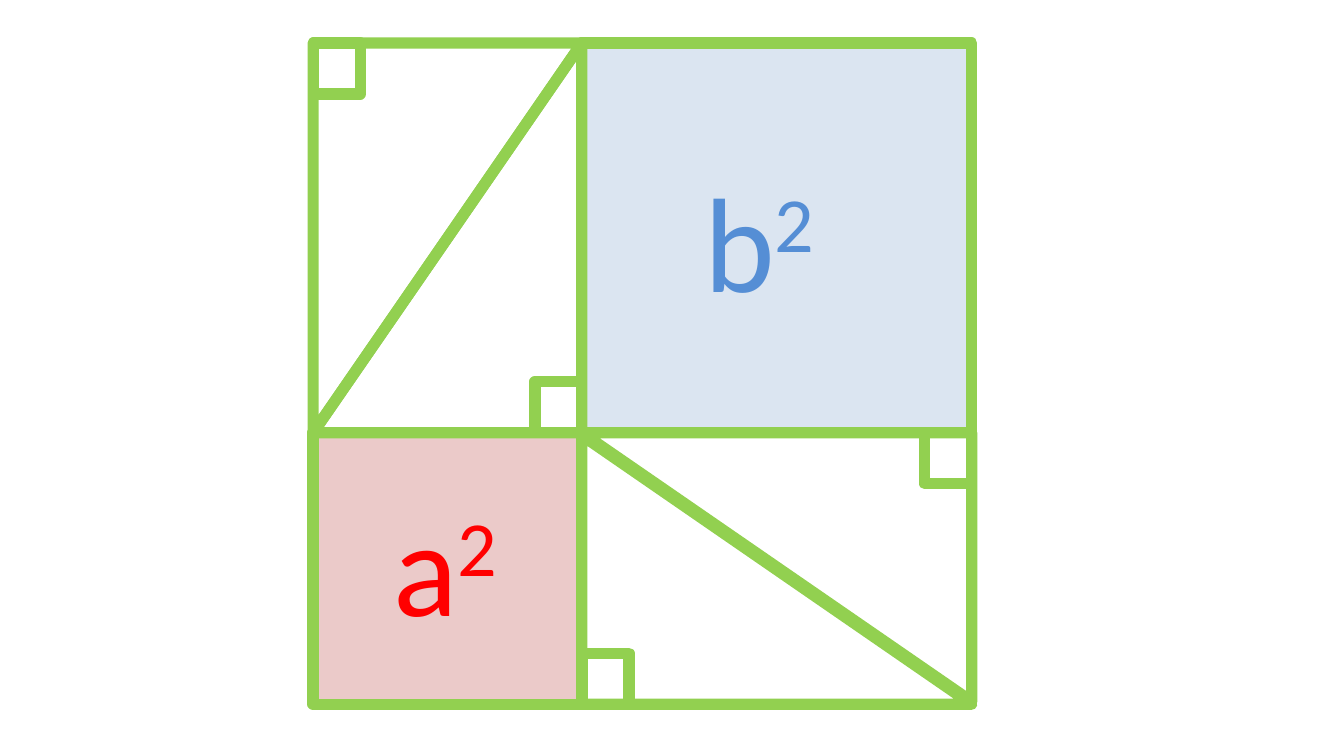
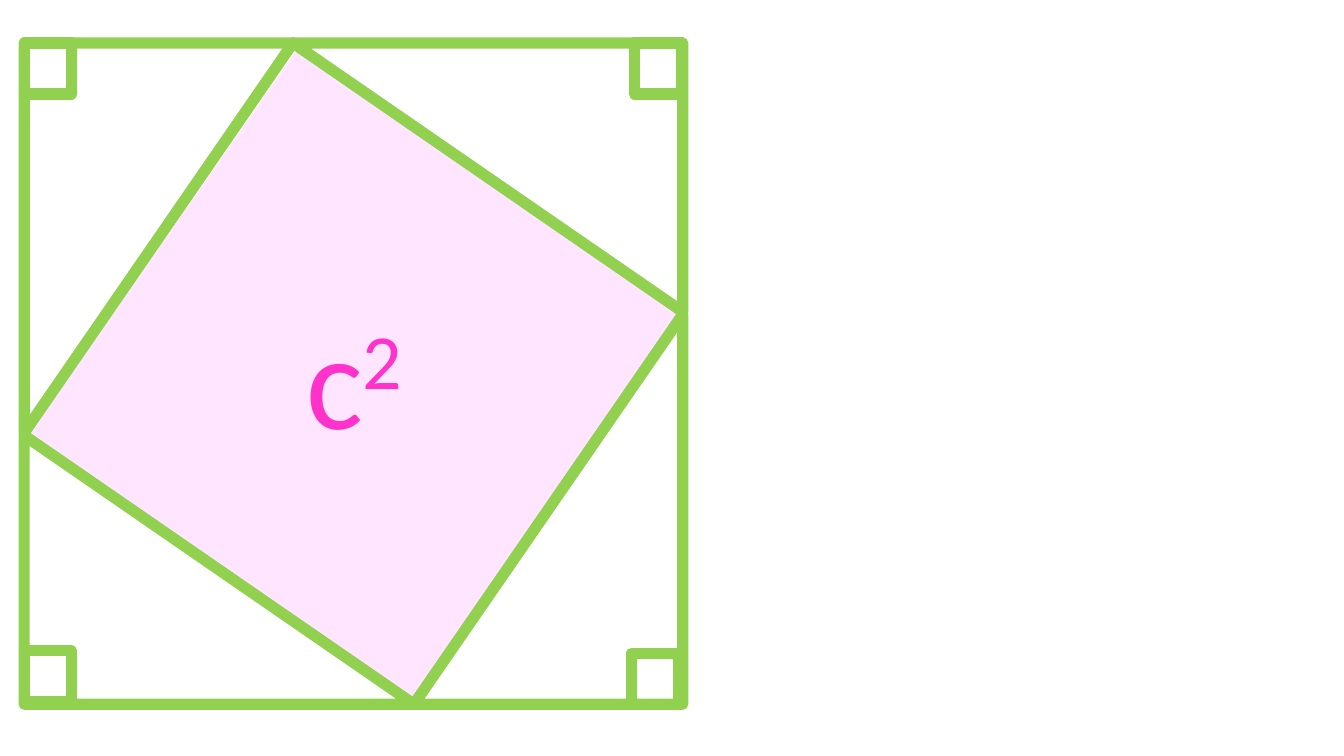
from lxml import etree
from pptx import Presentation
from pptx.dml.color import RGBColor
from pptx.enum.shapes import MSO_SHAPE
from pptx.enum.text import MSO_AUTO_SIZE
from pptx.oxml.ns import qn
from pptx.util import Inches, Pt

RECT, TRI = MSO_SHAPE.RECTANGLE, MSO_SHAPE.RIGHT_TRIANGLE
GROW = MSO_AUTO_SIZE.SHAPE_TO_FIT_TEXT
GREEN = RGBColor(0x92, 0xD0, 0x50)
SKY = RGBColor(0xB9, 0xCD, 0xE5)
ROSE = RGBColor(0xD9, 0x96, 0x94)
PINK = RGBColor(0xFF, 0xCC, 0xFF)
RED = RGBColor(0xFF, 0x00, 0x00)
BLUE = RGBColor(0x55, 0x8E, 0xD5)
MAGENTA = RGBColor(0xFF, 0x33, 0xCC)

# Legs of the triangle and the square they span together
A, B = 2, 2.9
SIDE = A + B
TOP = 0.32
MID, LOW = TOP + B, TOP + B + 0.02
END = LOW + A
MARK_W, MARK_H = 0.35, 0.38


def paint(shape, fill=None):
    """Give a half-clear fill without line, or a green outline without fill."""
    shape.shadow.inherit = False
    if fill is None:
        shape.fill.background()
        shape.line.color.rgb = GREEN
        shape.line.width = Pt(6)
        return
    shape.fill.solid()
    shape.fill.fore_color.rgb = fill
    color = shape.fill._xPr.find(".//" + qn("a:srgbClr"))
    etree.SubElement(color, qn("a:alpha"), val="50000")
    shape.line.fill.background()


def place(slide, kind, x, y, w, h, fill=None, turn=0):
    """Add a shape that covers x, y, w, h after it is turned."""
    if turn in (90, 270):
        x, y, w, h = x + (w - h) / 2, y + (h - w) / 2, h, w
    shape = slide.shapes.add_shape(kind, *map(Inches, (x, y, w, h)))
    shape.rotation = turn
    paint(shape, fill)


deck = Presentation()
deck.slide_width = Inches(10)
deck.slide_height = deck.slide_width * 9 // 16
blank = deck.slide_layouts[6]
parts, whole = deck.slides.add_slide(blank), deck.slides.add_slide(blank)

# Tinted squares
left, edge = 2.33, 0.18
mid = left + A
place(parts, RECT, mid, TOP, B, B + 0.03, SKY)
place(parts, RECT, left, MID, A, A + 0.02, ROSE)
tilt = [(0.2, 3.25), (2.21, 0.37), (5.08, 2.36), (3.06, 5.21)]
start, *rest = [(Inches(x), Inches(y)) for x, y in tilt]
path = whole.shapes.build_freeform(*start)
path.add_line_segments(rest, close=True)
paint(path.convert_to_shape(), PINK)

# Four equal triangles on each slide
for slide, x, y, turn in [
    (parts, left, TOP, 90),
    (parts, mid, MID, 180),
    (parts, left, TOP, 270),
    (parts, mid, LOW, 0),
    (whole, edge, TOP, 90),
    (whole, edge + B, END - B, 270),
    (whole, edge + A, TOP, 180),
    (whole, edge, LOW, 0),
]:
    w, h = (A, B) if turn in (90, 270) else (B, A)
    place(slide, TRI, x, y, w, h, turn=turn)

# Right-angle marks
far = edge + SIDE - MARK_W
for slide, x, y in [
    (parts, left, TOP),
    (parts, mid, END - MARK_H),
    (parts, mid + B - MARK_W, MID),
    (parts, mid - MARK_W, MID - MARK_H),
    (whole, edge, TOP),
    (whole, edge, END - MARK_H - 0.02),
    (whole, far - 0.03, END - MARK_H),
    (whole, far - 0.01, TOP),
]:
    place(slide, RECT, x, y, MARK_W, MARK_H)

# Outlines of the two small squares
place(parts, RECT, left, MID, A, A + 0.02)
place(parts, RECT, mid, TOP, B, B)

# Area labels
for slide, name, x, y, w, color in [
    (parts, "a", 2.83, 3.54, 1.33, RED),
    (parts, "b", 5.14, 1.13, 1.13, BLUE),
    (whole, "c", 2.18, 2.15, 0.96, MAGENTA),
]:
    box = slide.shapes.add_textbox(*map(Inches, (x, y, w, 1.31)))
    frame = box.text_frame
    frame.word_wrap = True
    frame.auto_size = GROW
    for text in (name, "2"):
        run = frame.paragraphs[0].add_run()
        run.text = text
        for key, value in {"name": "Calibri", "size": Pt(72)}.items():
            setattr(run.font, key, value)
        run.font.color.rgb = color
    run.font._element.set("baseline", "30000")

deck.save("out.pptx")
